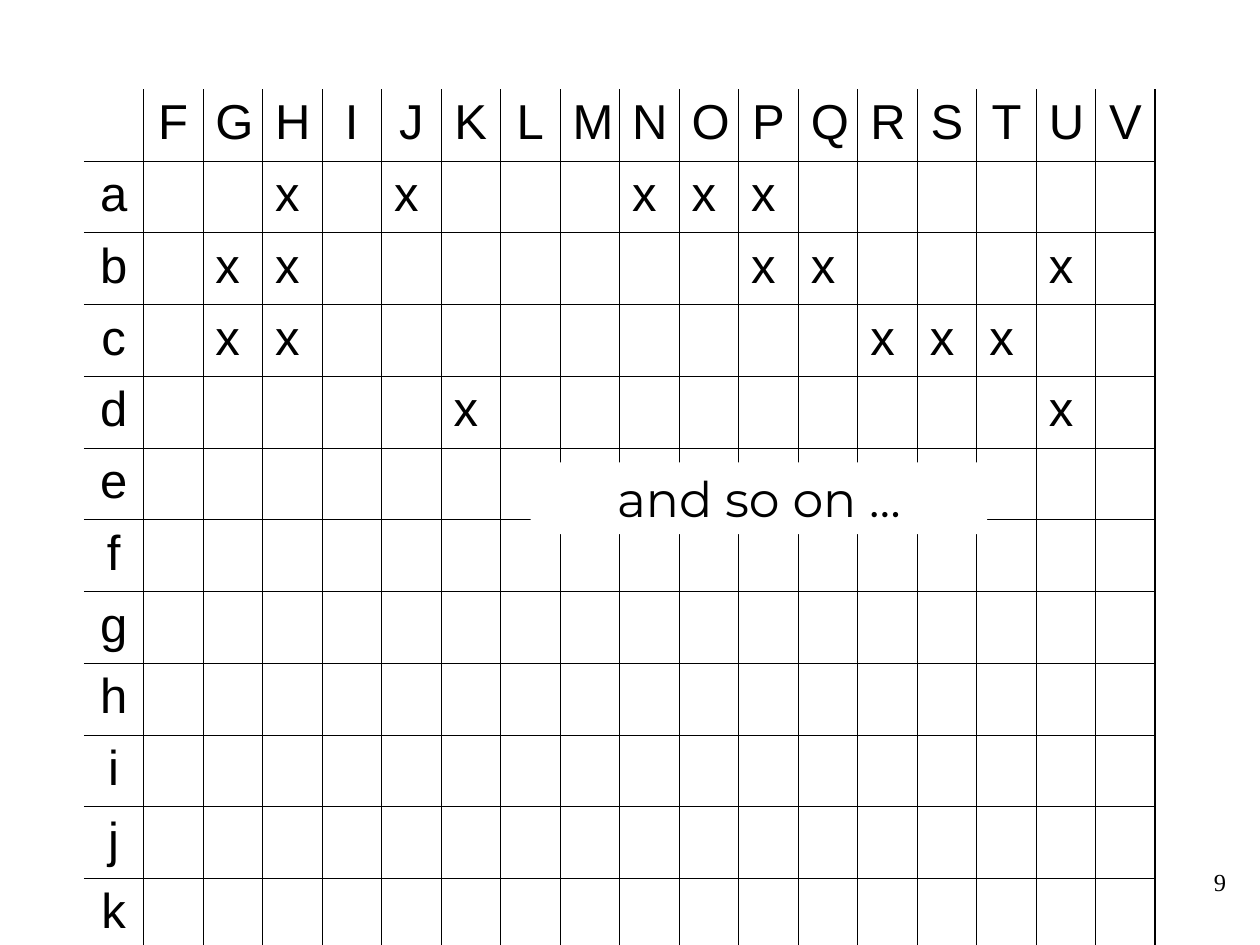
from lxml.etree import SubElement
from pptx import Presentation
from pptx.dml.color import RGBColor
from pptx.enum.shapes import MSO_SHAPE
from pptx.enum.text import MSO_ANCHOR, PP_ALIGN
from pptx.oxml.ns import qn
from pptx.util import Cm, Pt

COLUMNS = "FGHIJKLMNOPQRSTUV"
ROWS = "abcdefghijk"
# Marked columns of each row
MARKS = {"a": "HJNOP", "b": "GHPQU", "c": "GHRST", "d": "KU"}
COL_WIDTH, ROW_HEIGHT = 1.2, 1.446
BLACK, WHITE = "000000", "FFFFFF"
THIN, THICK = 0.45, 1.08


def rgb(hex_color):
    return RGBColor.from_string(hex_color)


def write(tf, text, font="Arial", size=28, color=BLACK, align=PP_ALIGN.CENTER):
    tf.word_wrap = True
    p = tf.paragraphs[0]
    p.alignment = align
    r = p.add_run()
    r.text = text
    r.font.name = font
    r.font.size = Pt(size)
    r.font.color.rgb = rgb(color)


def set_borders(cell, **widths):
    """Draw the sides L, R, T and B; a width of 0 leaves the side open."""
    tc_pr = cell._tc.get_or_add_tcPr()
    for i, (side, width) in enumerate(widths.items()):
        ln = tc_pr.makeelement(qn(f"a:ln{side}"), {"w": str(int(Pt(width)))})
        tc_pr.insert(i, ln)
        if width:
            fill = SubElement(ln, qn("a:solidFill"))
            SubElement(fill, qn("a:srgbClr"), val=BLACK)
        else:
            SubElement(ln, qn("a:noFill"))


def add_matrix(s, left, top):
    n_rows, n_cols = len(ROWS) + 1, len(COLUMNS) + 1
    table = s.shapes.add_table(
        n_rows, n_cols, Cm(left), Cm(top),
        Cm(n_cols * COL_WIDTH), Cm(n_rows * ROW_HEIGHT)).table
    table.first_row = table.horz_banding = False
    for col in table.columns:
        col.width = Cm(COL_WIDTH)
    for row in table.rows:
        row.height = Cm(ROW_HEIGHT)

    # Fill and borders: open at the left and top, thick at the right and bottom
    for i in range(n_rows):
        for j in range(n_cols):
            cell = table.cell(i, j)
            cell.fill.background()
            set_borders(cell,
                        L=THIN if j else 0,
                        R=THIN if j < n_cols - 1 else THICK,
                        T=THIN if i else 0,
                        B=THIN if i < n_rows - 1 else THICK)

    # Headings and marks
    for j, name in enumerate(COLUMNS, 1):
        write(table.cell(0, j).text_frame, name)
    for i, name in enumerate(ROWS, 1):
        write(table.cell(i, 0).text_frame, name)
        for mark in MARKS.get(name, ""):
            cell = table.cell(i, COLUMNS.index(mark) + 1)
            write(cell.text_frame, "x", align=PP_ALIGN.LEFT)


def add_label(s, text, left, top, width, height):
    sp = s.shapes.add_shape(MSO_SHAPE.RECTANGLE, Cm(left), Cm(top), Cm(width), Cm(height))
    sp.shadow.inherit = False
    sp.fill.solid()
    sp.fill.fore_color.rgb = rgb(WHITE)
    sp.line.fill.background()
    sp.text_frame.vertical_anchor = MSO_ANCHOR.TOP
    write(sp.text_frame, text, font="Montserrat")


def add_page_number(s, text, left, top, width, height):
    sp = s.shapes.add_textbox(Cm(left), Cm(top), Cm(width), Cm(height))
    write(sp.text_frame, text, font="Times New Roman", size=14, align=PP_ALIGN.RIGHT)


def main():
    prs = Presentation()
    prs.slide_width, prs.slide_height = Cm(25.4), Cm(19.05)
    s = prs.slides.add_slide(prs.slide_layouts[6])
    add_matrix(s, 1.69, 1.8)
    add_label(s, "and so on …", 10.7, 9.32, 9.2, 1.45)
    add_page_number(s, "9", 19.69, 17.35, 5.28, 1.27)
    prs.save("out.pptx")


if __name__ == "__main__":
    main()
